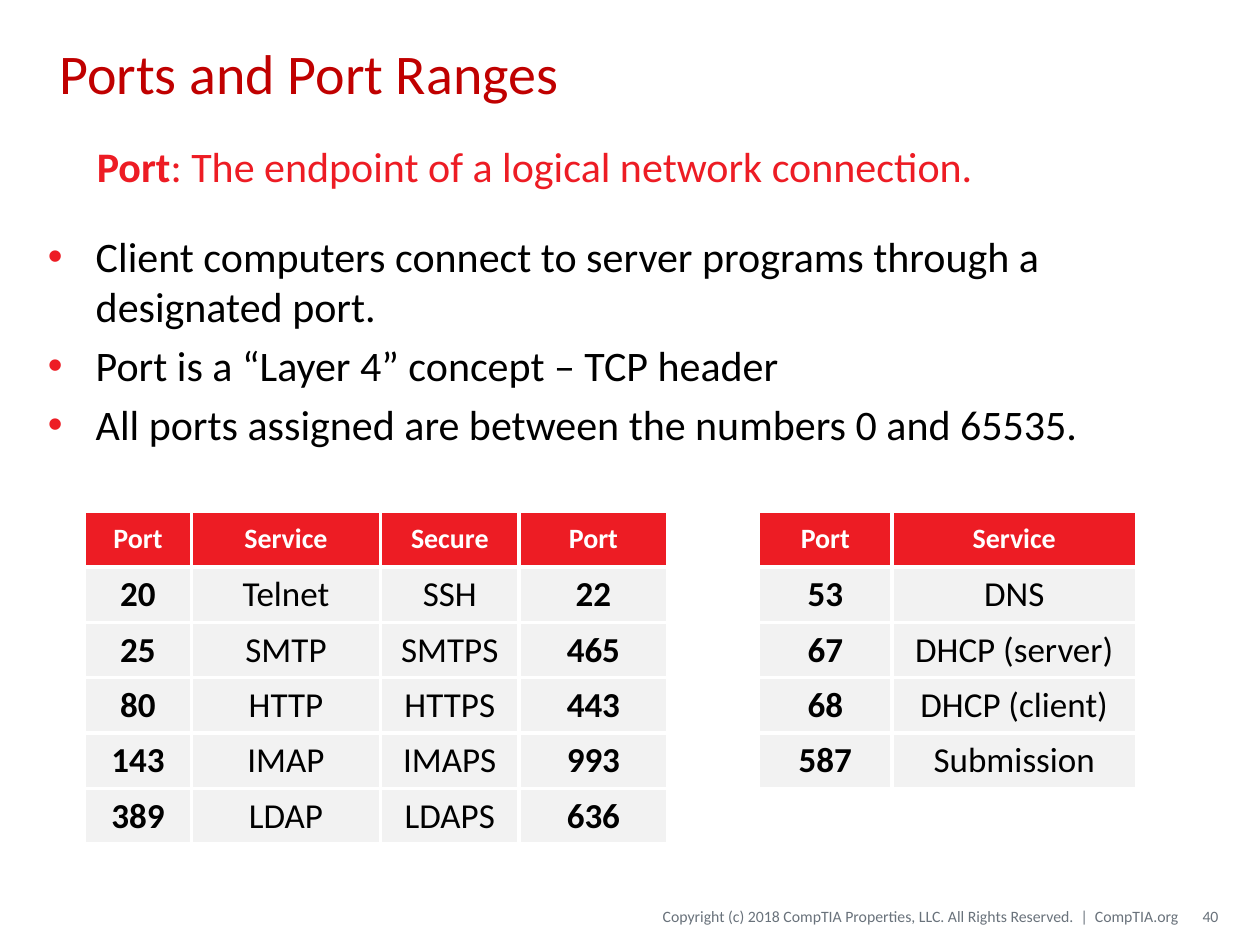
from dataclasses import dataclass

from lxml import etree
from pptx import Presentation
from pptx import util as u
from pptx.dml.color import RGBColor
from pptx.enum import text
from pptx.oxml import ns

FONT = "Calibri"
RED = RGBColor(0xED, 0x1C, 0x24)
DARK_RED = RGBColor(0xC0, 0x00, 0x00)
BLACK = RGBColor(0x00, 0x00, 0x00)
WHITE = RGBColor(0xFF, 0xFF, 0xFF)
GRAY = RGBColor(0x69, 0x72, 0x7B)
LIGHT_GRAY = RGBColor(0xF2, 0xF2, 0xF2)

ROW_HEIGHT = 0.44
TABLE_TOP = 4.06
BULLET_INDENT = u.Inches(0.38)
ITEM_GAP = u.Pt(4.8)


@dataclass
class PortTable:
    left: float
    column_widths: list[float]
    rows: list[list[str]]


@dataclass
class FooterText:
    left: float
    width: float
    left_inset: float
    content: str


BULLETS = [
    "Client computers connect to server programs through a designated port.",
    "Port is a “Layer 4” concept – TCP header",
    "All ports assigned are between the numbers 0 and 65535.",
]

TABLES = [
    PortTable(6.02, [1.06, 1.94], [
        ["Port", "Service"],
        ["53", "DNS"],
        ["67", "DHCP (server)"],
        ["68", "DHCP (client)"],
        ["587", "Submission"],
    ]),
    PortTable(0.67, [0.85, 1.5, 1.1, 1.18], [
        ["Port", "Service", "Secure", "Port"],
        ["20", "Telnet", "SSH", "22"],
        ["25", "SMTP", "SMTPS", "465"],
        ["80", "HTTP", "HTTPS", "443"],
        ["143", "IMAP", "IMAPS", "993"],
        ["389", "LDAP", "LDAPS", "636"],
    ]),
]

FOOTERS = [
    FooterText(3.88, 5.47, 0, "Copyright (c) 2018 CompTIA Properties, LLC. "
               "All Rights Reserved.  |  CompTIA.org"),
    FooterText(9.38, 0.29, 0.1, "40"),
]


def place(shape, left: float, top: float, width: float, height: float) -> None:
    shape.left, shape.top = u.Inches(left), u.Inches(top)
    shape.width, shape.height = u.Inches(width), u.Inches(height)


def format_runs(paragraph, size: float, color: RGBColor, bold: bool = False) -> None:
    for run in paragraph.runs:
        run.font.name = FONT
        run.font.size = u.Pt(size)
        run.font.color.rgb = color
        run.font.bold = bold


def add_bullet(paragraph) -> None:
    properties = paragraph._p.get_or_add_pPr()
    properties.set("marL", str(BULLET_INDENT))
    properties.set("indent", str(-BULLET_INDENT))
    color = etree.SubElement(properties, ns.qn("a:buClr"))
    etree.SubElement(color, ns.qn("a:srgbClr"), val=str(RED))
    etree.SubElement(properties, ns.qn("a:buFont"), typeface="Arial")
    etree.SubElement(properties, ns.qn("a:buChar"), char="•")


def set_borders(cell) -> None:
    properties = cell._tc.get_or_add_tcPr()
    for index, side in enumerate(("a:lnL", "a:lnR", "a:lnT", "a:lnB")):
        line = etree.Element(ns.qn(side), w=str(u.Pt(2.25)))
        fill = etree.SubElement(line, ns.qn("a:solidFill"))
        etree.SubElement(fill, ns.qn("a:srgbClr"), val=str(WHITE))
        properties.insert(index, line)


def draw_table(slide, port_table: PortTable) -> None:
    rows, widths = port_table.rows, port_table.column_widths
    table = slide.shapes.add_table(
        len(rows), len(widths), u.Inches(port_table.left), u.Inches(TABLE_TOP),
        u.Inches(sum(widths)), u.Inches(ROW_HEIGHT * len(rows))).table
    for column, width in zip(table.columns, widths):
        column.width = u.Inches(width)
    for row_index, row in enumerate(rows):
        table.rows[row_index].height = u.Inches(ROW_HEIGHT)
        is_header = row_index == 0
        for column_index, content in enumerate(row):
            cell = table.cell(row_index, column_index)
            cell.text = content
            cell.vertical_anchor = text.MSO_ANCHOR.MIDDLE
            cell.fill.solid()
            cell.fill.fore_color.rgb = RED if is_header else LIGHT_GRAY
            set_borders(cell)
            paragraph = cell.text_frame.paragraphs[0]
            paragraph.alignment = text.PP_ALIGN.CENTER
            if is_header:
                format_runs(paragraph, 16, WHITE, bold=True)
            else:
                format_runs(paragraph, 20, BLACK, bold=content.isdigit())


def draw_footer(slide, footer: FooterText) -> None:
    shape = slide.shapes.add_textbox(
        u.Inches(footer.left), u.Inches(7.12), u.Inches(footer.width), u.Inches(0.3))
    frame = shape.text_frame
    frame.text = footer.content
    frame.word_wrap = True
    frame.vertical_anchor = text.MSO_ANCHOR.MIDDLE
    frame.margin_left, frame.margin_right = u.Inches(footer.left_inset), 0
    frame.paragraphs[0].alignment = text.PP_ALIGN.RIGHT
    format_runs(frame.paragraphs[0], 9, GRAY)


def main() -> None:
    presentation = Presentation()
    presentation.slide_width, presentation.slide_height = u.Inches(10), u.Inches(7.5)
    slide = presentation.slides.add_slide(presentation.slide_layouts[1])

    # Title
    title = slide.shapes.title
    place(title, 0.37, 0.11, 9.25, 0.92)
    title.text_frame.text = "Ports and Port Ranges"
    title.text_frame.vertical_anchor = text.MSO_ANCHOR.MIDDLE
    title.text_frame.paragraphs[0].alignment = text.PP_ALIGN.LEFT
    format_runs(title.text_frame.paragraphs[0], 32, DARK_RED)

    # Bulleted list
    body = slide.placeholders[1]
    place(body, 0.28, 1.78, 9.53, 5.2)
    body.text_frame.text = "\n".join(BULLETS)
    body.text_frame.auto_size = text.MSO_AUTO_SIZE.NONE
    for index, paragraph in enumerate(body.text_frame.paragraphs):
        add_bullet(paragraph)
        paragraph.space_before = ITEM_GAP if index else u.Pt(0)
        format_runs(paragraph, 24, BLACK)

    # Definition
    definition = slide.shapes.add_textbox(
        u.Inches(0.67), u.Inches(1.07), u.Inches(7.63), u.Inches(0.83))
    definition.text_frame.word_wrap = True
    paragraph = definition.text_frame.paragraphs[0]
    for content in ("Port", ": The endpoint of a logical network connection."):
        paragraph.add_run().text = content
    format_runs(paragraph, 24, RED)
    paragraph.runs[0].font.bold = True

    # Port tables
    for port_table in TABLES:
        draw_table(slide, port_table)

    # Footer
    for footer in FOOTERS:
        draw_footer(slide, footer)

    presentation.save("out.pptx")


if __name__ == "__main__":
    main()
